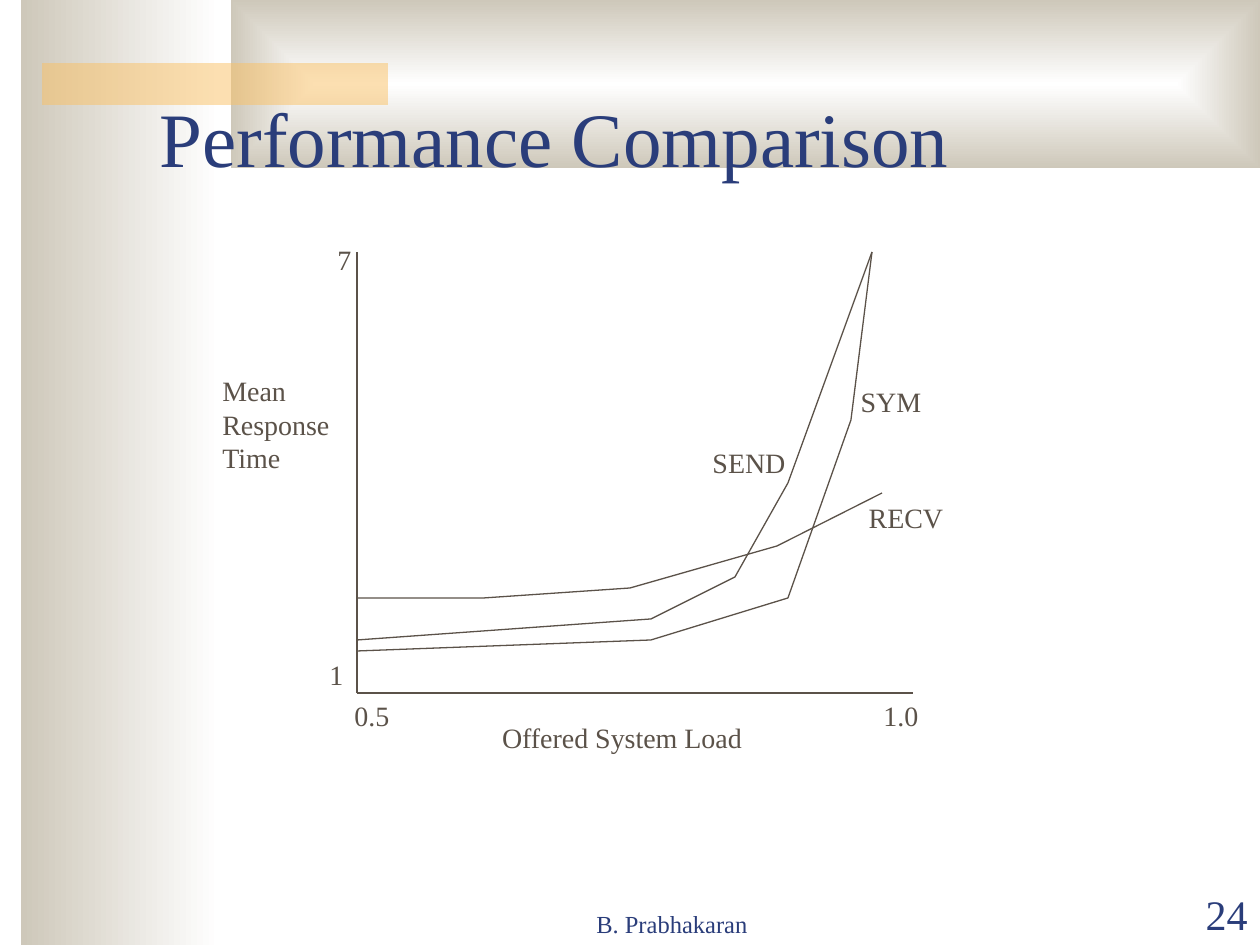
from lxml.etree import SubElement
from pptx import Presentation
from pptx.dml.color import RGBColor
from pptx.enum.shapes import MSO_CONNECTOR as CONN, MSO_SHAPE as SHAPE
from pptx.enum.text import MSO_ANCHOR as ANCHOR, MSO_AUTO_SIZE as FIT, PP_ALIGN as ALIGN
from pptx.oxml import parse_xml
from pptx.oxml.ns import nsdecls, qn
from pptx.util import Emu, Pt

SCALE = 914400 / 126  # EMU per px
COLORS = {k: RGBColor.from_string(v) for k, v in {
    "white": "FFFFFF", "sand": "CEC8BA", "orange": "FAC164",
    "navy": "2A3D7A", "brown": "5B5249"}.items()}


def px(*values):
    return [Emu(round(v * SCALE)) for v in values]


def write(sp, text, size, color, align, anchor, wrap=True):
    tf = sp.text_frame
    tf.text = text
    tf.word_wrap = wrap
    tf.vertical_anchor = anchor
    for p in tf.paragraphs:
        p.alignment = align
        for r in p.runs:
            r.font.name = "Times New Roman"
            r.font.size = Pt(size)
            r.font.color.rgb = COLORS[color]


prs = Presentation()
prs.slide_width, prs.slide_height = px(1260, 945)
s = prs.slides.add_slide(prs.slide_layouts[5])

# Background bands
bands = []
for box in [(21, 0, 199, 945), (231, 0, 1029, 168), (42, 63, 346, 42)]:
    sp = s.shapes.add_shape(SHAPE.RECTANGLE, *px(*box))
    sp.shadow.inherit = False
    sp.line.fill.background()
    bands.append(sp)
side, top, accent = bands

for sp in (side, top):
    sp.fill.gradient()
    sp.fill.gradient_angle = 180
    for stop, name in zip(sp.fill.gradient_stops, ("white", "sand")):
        stop.color.rgb = COLORS[name]

# The top band fades outward from its centre
lin = top.element.spPr.find(qn("a:gradFill")).find(qn("a:lin"))
lin.getparent().replace(lin, parse_xml(
    f'<a:path {nsdecls("a")} path="rect">'
    '<a:fillToRect l="50000" t="50000" r="50000" b="50000"/></a:path>'))

accent.fill.solid()
accent.fill.fore_color.rgb = COLORS["orange"]
rgb = accent.element.spPr.find(qn("a:solidFill"))[0]
SubElement(rgb, qn("a:alpha"), val="50000")

# Title, in front of the bands
title = s.shapes.title
title.left, title.top, title.width, title.height = px(147, 32, 1071, 157)
write(title, "Performance Comparison", 44, "navy", ALIGN.LEFT, ANCHOR.BOTTOM)
title.element.getparent().append(title.element)

# Axes
origin = (357, 693)
for end in [(913, 693), (357, 252)]:
    axis = s.shapes.add_connector(CONN.STRAIGHT, *px(*origin, *end))
    axis.line.color.rgb = COLORS["brown"]
    axis.line.width = Pt(0.75)
    SubElement(axis.element.spPr, qn("a:effectLst"))

# Response time curves: RECV, SYM, SEND
curves = [
    [(357, 598), (483, 598), (630, 588), (777, 546), (882, 493)],
    [(357, 651), (651, 640), (788, 598), (851, 420), (872, 252)],
    [(357, 640), (651, 619), (735, 577), (788, 483), (872, 252)],
]
for points in curves:
    builder = s.shapes.build_freeform(*points[0], scale=SCALE)
    builder.add_line_segments(points[1:], close=False)
    curve = builder.convert_to_shape()
    curve.shadow.inherit = False
    curve.fill.background()
    curve.line.color.rgb = COLORS["brown"]
    curve.line.width = Pt(0.75)

# Axis and curve labels
labels = [
    ("Mean\nResponse\nTime", 210, 367, 132, 114, ALIGN.LEFT),
    ("Offered System Load", 489, 714, 266, 47, ALIGN.CENTER),
    ("1", 317, 651, 39, 47, ALIGN.CENTER),
    ("7", 325, 236, 39, 47, ALIGN.CENTER),
    ("0.5", 342, 692, 60, 47, ALIGN.CENTER),
    ("1.0", 871, 692, 60, 47, ALIGN.CENTER),
    ("RECV", 856, 494, 100, 47, ALIGN.CENTER),
    ("SYM", 848, 378, 86, 47, ALIGN.CENTER),
    ("SEND", 700, 439, 98, 47, ALIGN.CENTER),
]
for text, *box, align in labels:
    label = s.shapes.add_textbox(*px(*box))
    write(label, text, 16, "brown", align, ANCHOR.MIDDLE, wrap=False)
    label.text_frame.auto_size = FIT.SHAPE_TO_FIT_TEXT

# Footer and slide number
footer = s.shapes.add_textbox(*px(472, 883, 400, 62))
write(footer, "B. Prabhakaran", 14, "navy", ALIGN.CENTER, ANCHOR.BOTTOM)
number = s.shapes.add_textbox(*px(1134, 883, 126, 62))
write(number, "24", 24, "navy", ALIGN.RIGHT, ANCHOR.BOTTOM)

prs.save("out.pptx")
